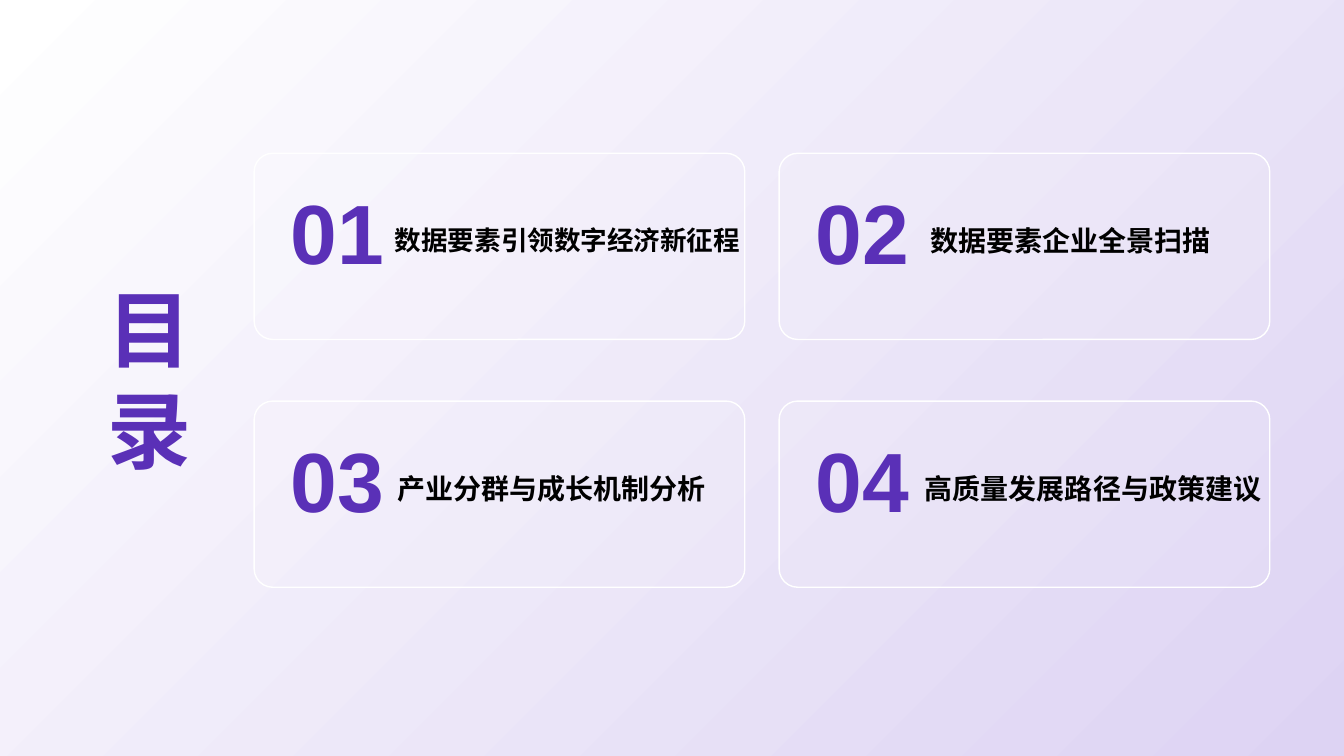
from lxml.etree import SubElement
from pptx import Presentation
from pptx.dml.color import RGBColor
from pptx.enum.shapes import MSO_SHAPE as Shape
from pptx.enum.text import MSO_ANCHOR as Anchor, MSO_AUTO_SIZE as AutoSize, PP_ALIGN as Align
from pptx.oxml.ns import qn
from pptx.util import Pt

WHITE, LAVENDER, BLACK = "FFFFFF", "DDD3F3", "000000"
ACCENT = ((0.01, "5A30B7"), (1, "66D3CA"))


def color(value):
    return RGBColor.from_string(value)


def diagonal_gradient(fill, stops):
    fill.gradient()
    fill.gradient_angle = 315
    for stop, (position, value) in zip(fill.gradient_stops, stops):
        stop.position = position
        stop.color.rgb = color(value)


class AgendaSlide:
    font_name = "Arial"

    def __init__(self, presentation):
        self.slide = presentation.slides.add_slide(presentation.slide_layouts[5])
        diagonal_gradient(self.slide.background.fill, ((0, WHITE), (1, LAVENDER)))

    def add_run(self, paragraph, text, size, accent=False):
        run = paragraph.add_run()
        run.text = text
        run.font.name, run.font.size, run.font.bold = self.font_name, Pt(size), True
        if accent:
            diagonal_gradient(run.font.fill, ACCENT)
        else:
            run.font.color.rgb = color(BLACK)

    def title(self, text, left, top, width, height):
        shape = self.slide.shapes.title
        shape.left, shape.top, shape.width, shape.height = map(Pt, (left, top, width, height))
        frame = shape.text_frame
        frame.word_wrap, frame.vertical_anchor = True, Anchor.MIDDLE
        frame.auto_size = AutoSize.NONE
        paragraph = frame.paragraphs[0]
        paragraph.alignment, paragraph.line_spacing = Align.CENTER, Pt(72)
        self.add_run(paragraph, text, 60, accent=True)

    def panel(self, left, top, width, height):
        shape = self.slide.shapes.add_shape(
            Shape.ROUNDED_RECTANGLE, *map(Pt, (left, top, width, height)))
        shape.adjustments[0] = 0.1
        shape.shadow.inherit = False
        shape.fill.solid()
        shape.fill.fore_color.rgb = color(WHITE)
        fill_color = shape.fill._xPr.find(qn("a:solidFill"))[0]
        SubElement(fill_color, qn("a:alpha"), val="10000")
        shape.line.color.rgb = color(WHITE)
        shape.line.width = Pt(1)

    def label(self, text, size, left, top, width, height):
        box = self.slide.shapes.add_textbox(*map(Pt, (left, top, width, height)))
        frame = box.text_frame
        frame.word_wrap, frame.vertical_anchor = True, Anchor.MIDDLE
        self.add_run(frame.paragraphs[0], text, size)

    def number(self, text, left, top, width, height):
        box = self.slide.shapes.add_textbox(*map(Pt, (left, top, width, height)))
        frame = box.text_frame
        frame.word_wrap, frame.auto_size = False, AutoSize.SHAPE_TO_FIT_TEXT
        self.add_run(frame.paragraphs[0], text, 60, accent=True)


def main():
    presentation = Presentation()
    presentation.slide_width, presentation.slide_height = Pt(960), Pt(540)
    agenda = AgendaSlide(presentation)

    # Title, one character per line
    agenda.title("目录", 60, 82, 94, 376)

    # Chapters: text, size, label offset and label width
    chapters = (
        ("数据要素引领数字经济新征程", 19, 93.5, 264),
        ("数据要素企业全景扫描", 20, 101, 250),
        ("产业分群与成长机制分析", 20, 95, 250),
        ("高质量发展路径与政策建议", 20, 97, 257),
    )

    # Two-by-two grid of cards
    for index, (text, size, offset, width) in enumerate(chapters):
        row, column = divmod(index, 2)
        left, top = 181.5 + 375 * column, 109.5 + 177 * row
        agenda.panel(left, top, 350.5, 133)
        agenda.label(text, size, left + offset, top + 41, width, 42)
        agenda.number(f"{index + 1:02}", left + 19, top + 16, 82, 80)

    presentation.save("out.pptx")


if __name__ == "__main__":
    main()
